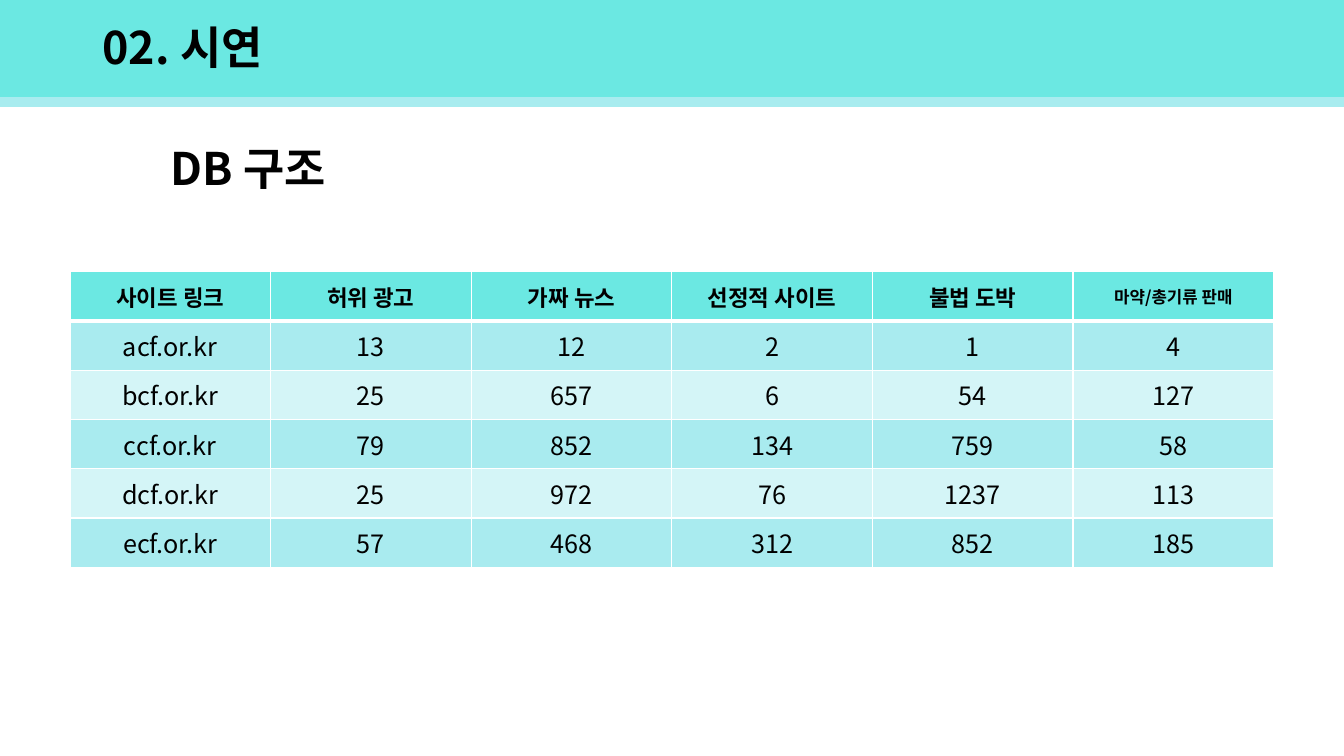
from lxml import etree
from pptx import Presentation
from pptx.dml.color import RGBColor
from pptx.enum.shapes import MSO_SHAPE
from pptx.enum.text import MSO_ANCHOR, PP_ALIGN
from pptx.oxml.ns import qn
from pptx.util import Pt

RECTANGLE = MSO_SHAPE.RECTANGLE
MIDDLE = MSO_ANCHOR.MIDDLE
LEFT, CENTER = PP_ALIGN.LEFT, PP_ALIGN.CENTER
FONT = "Noto Sans CJK KR"
TEAL, BAND, PALE = "6BE8E2", "A9EBEF", "D4F5F7"


def color(value):
    return RGBColor.from_string(value)


def write_text(frame, text, size, bold, alignment):
    frame.text = text
    paragraph = frame.paragraphs[0]
    paragraph.alignment = alignment
    run = paragraph.runs[0]
    run.font.name = FONT
    run.font.size = Pt(size)
    run.font.bold = bold
    run.font.color.rgb = color("000000")
    etree.SubElement(run.font._element, qn("a:ea"), typeface=FONT)
    return paragraph


presentation = Presentation()
presentation.slide_width = Pt(960)
presentation.slide_height = Pt(540)
slide = presentation.slides.add_slide(presentation.slide_layouts[5])

for top, height, fill in [(0, 69.3, TEAL), (69.3, 7, "A8ECEF")]:
    bar = slide.shapes.add_shape(RECTANGLE, 0, Pt(top), Pt(960), Pt(height))
    bar.shadow.inherit = False
    bar.fill.solid()
    bar.fill.fore_color.rgb = color(fill)
    bar.line.fill.background()

title = slide.shapes.title
title.element.getparent().append(title.element)
title.left, title.top, title.width, title.height = Pt(66), Pt(9.3), Pt(894), Pt(52.2)
subtitle = slide.shapes.add_textbox(Pt(114.7), Pt(96.2), Pt(894), Pt(52.2))

for shape, text in [(title, "02. 시연"), (subtitle, "DB 구조")]:
    frame = shape.text_frame
    frame.word_wrap = True
    frame.vertical_anchor = MIDDLE
    heading = write_text(frame, text, 32, True, LEFT)
    heading.line_spacing = 0.9

rows = [
    ("사이트 링크", "허위 광고", "가짜 뉴스", "선정적 사이트", "불법 도박", "마약/총기류 판매"),
    ("acf.or.kr", 13, 12, 2, 1, 4),
    ("bcf.or.kr", 25, 657, 6, 54, 127),
    ("ccf.or.kr", 79, 852, 134, 759, 58),
    ("dcf.or.kr", 25, 972, 76, 1237, 113),
    ("ecf.or.kr", 57, 468, 312, 852, 185),
]
column_count = len(rows[0])
table = slide.shapes.add_table(
    len(rows), column_count, Pt(50), Pt(194.2), Pt(859.8), Pt(210.9)
).table

for row_index, values in enumerate(rows):
    is_header = row_index == 0
    fill = TEAL if is_header else BAND if row_index % 2 else PALE
    for column_index, value in enumerate(values):
        cell = table.cell(row_index, column_index)
        cell.vertical_anchor = MIDDLE
        size = 18
        if is_header:
            size = 12 if column_index == column_count - 1 else 16
        write_text(cell.text_frame, str(value), size, is_header, CENTER)
        properties = cell._tc.get_or_add_tcPr()
        for side in "LRTB":
            width = 3 if is_header and side == "B" else 1
            border = etree.SubElement(properties, qn(f"a:ln{side}"), w=str(Pt(width)))
            border_fill = etree.SubElement(border, qn("a:solidFill"))
            etree.SubElement(border_fill, qn("a:srgbClr"), val="FFFFFF")
        cell.fill.solid()
        cell.fill.fore_color.rgb = color(fill)

presentation.save("out.pptx")
